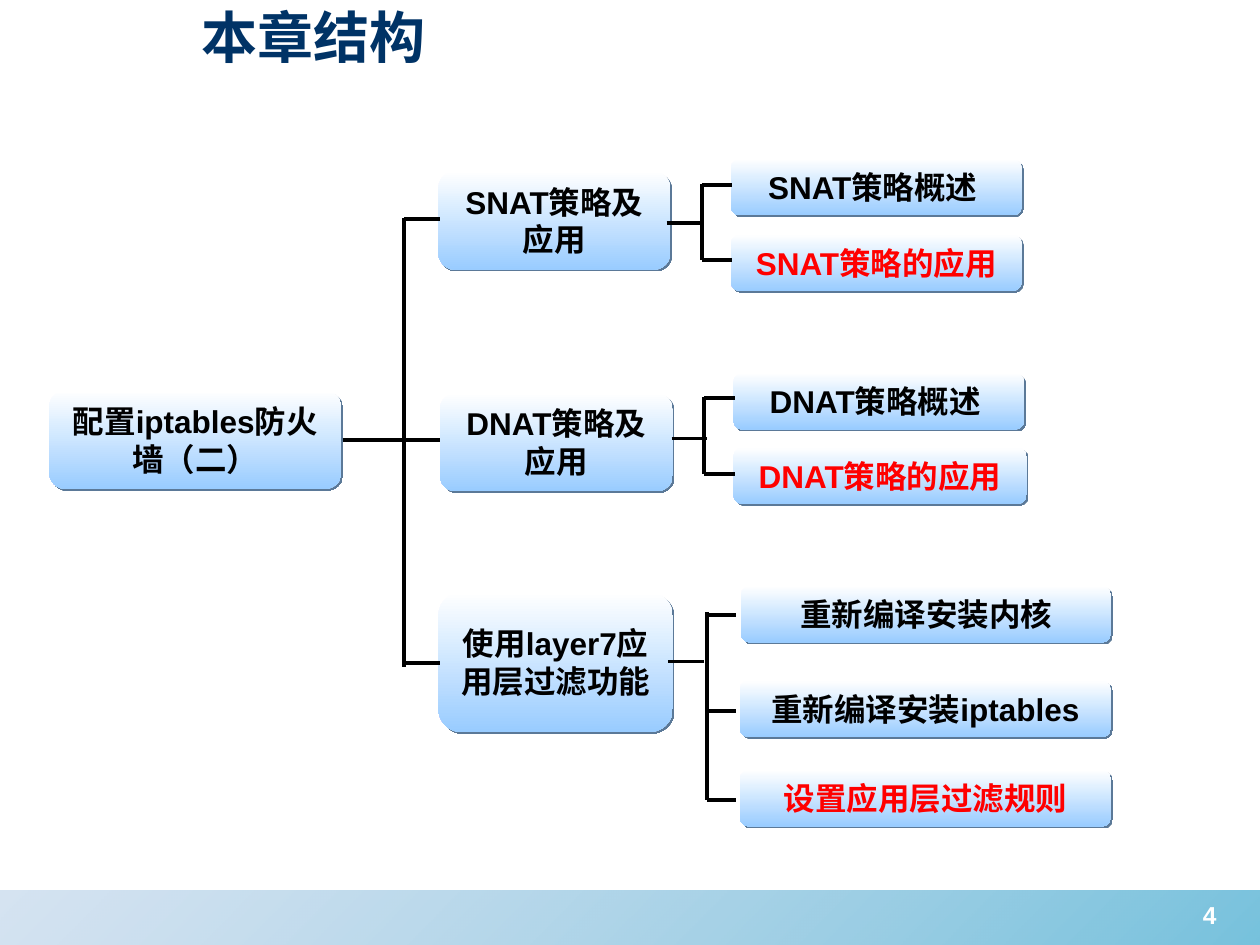
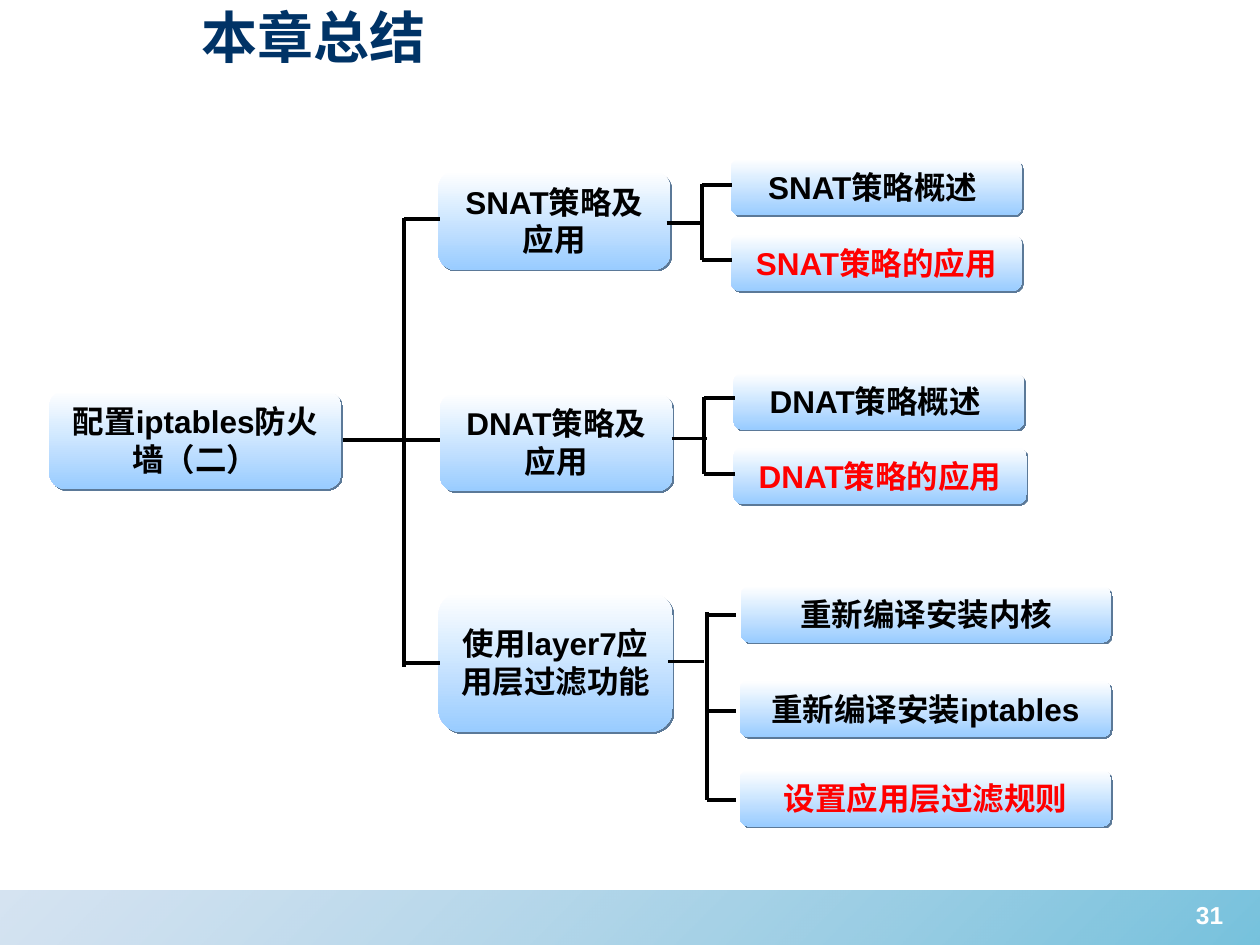
from dataclasses import dataclass

from lxml import etree
from pptx import Presentation
from pptx import util as u
from pptx.dml.color import RGBColor
from pptx.enum import lang, shapes, text
from pptx.oxml import ns


@dataclass(frozen=True)
class Theme:
    font: str = "Arial"
    title: str = "003366"
    ink: str = "000000"
    accent: str = "FF0000"
    number: str = "FFFFFF"
    box: tuple = ("FFFFFF", "99CCFF")
    shadow: str = "5B7998"
    band: tuple = ("1C99C6", "88B0D8")
    band_alpha: tuple = (60, 35)
    title_size: int = 32
    box_size: int = 18
    number_size: int = 14
    line_width: float = 2.25


@dataclass(frozen=True)
class Bracket:
    """A stem from the parent, an upright trunk and one twig per child."""
    stem: tuple    # from x, to x, y
    trunk: tuple   # x, top, bottom
    twig_end: float
    twigs: tuple   # y of each twig


# Boxes: left, top, width, height, label
TOPICS = [
    (0.39, 3.1, 2.32, 0.78, "配置iptables防火墙（二）"),
    (3.48, 1.36, 1.84, 0.78, "SNAT策略及应用"),
    (3.49, 3.12, 1.85, 0.78, "DNAT策略及应用"),
    (3.48, 4.7, 1.86, 1.11, "使用layer7应用层过滤功能"),
    (5.8, 1.26, 2.31, 0.45, "SNAT策略概述 "),
    (5.82, 2.96, 2.31, 0.45, "DNAT策略概述 "),
    (5.88, 4.65, 2.94, 0.45, "重新编译安装内核"),
    (5.87, 5.4, 2.95, 0.45, "重新编译安装iptables"),
]
KEY_TOPICS = [
    (5.8, 1.86, 2.31, 0.45, "SNAT策略的应用"),
    (5.82, 3.55, 2.33, 0.45, "DNAT策略的应用"),
    (5.87, 6.11, 2.95, 0.45, "设置应用层过滤规则"),
]
BRACKETS = [
    Bracket((2.72, 3.19, 3.49), (3.21, 1.73, 5.29), 3.49, (1.74, 3.49, 5.26)),
    Bracket((5.29, 5.57, 1.77), (5.57, 1.46, 2.06), 5.81, (1.47, 2.06)),
    Bracket((5.33, 5.61, 3.48), (5.59, 3.15, 3.76), 5.83, (3.16, 3.76)),
    Bracket((5.3, 5.59, 5.25), (5.61, 4.86, 6.35), 5.84, (4.88, 5.64, 6.35)),
]


class Deck:
    def __init__(self, theme):
        self.theme = theme
        self.prs = Presentation()
        self.prs.slide_width, self.prs.slide_height = u.Inches(10), u.Inches(7.5)
        self.s = None

    def add_slide(self, title, number):
        self.s = self.prs.slides.add_slide(self.prs.slide_layouts[5])
        self.band()
        self.title(title)
        self.page_number(number)

    def set_text(self, sp, words, size, color, align):
        tf = sp.text_frame
        tf.word_wrap = True
        tf.text = words
        p = tf.paragraphs[0]
        p.alignment = align
        font = p.runs[0].font
        font.name, font.size, font.bold = self.theme.font, u.Pt(size), True
        font.color.rgb = RGBColor.from_string(color)
        font.language_id = lang.MSO_LANGUAGE_ID.SIMPLIFIED_CHINESE
        return tf

    def gradient_shape(self, preset, at, colors, clockwise):
        sp = self.s.shapes.add_shape(preset, *map(u.Inches, at))
        sp.shadow.inherit = False
        sp.line.fill.background()
        sp.fill.gradient()
        sp.fill.gradient_angle = 360 - clockwise
        for stop, color in zip(sp.fill.gradient_stops, colors):
            stop.color.rgb = RGBColor.from_string(color)
        return sp

    def band(self):
        sp = self.gradient_shape(shapes.MSO_SHAPE.RECTANGLE, (0, 7.07, 10, 0.43),
                                 self.theme.band, 225)
        stops = sp.element.spPr.iter(ns.qn("a:srgbClr"))
        for clr, alpha in zip(list(stops), self.theme.band_alpha):
            etree.SubElement(clr, ns.qn("a:alpha"), val=str(alpha * 1000))

    def title(self, words):
        sp = self.s.shapes.title
        sp.left, sp.top, sp.width, sp.height = map(u.Inches, (1.5, -0.03, 8.07, 0.64))
        tf = self.set_text(sp, words, self.theme.title_size, self.theme.title,
                           text.PP_ALIGN.LEFT)
        tf.vertical_anchor = text.MSO_ANCHOR.MIDDLE

    def page_number(self, number):
        sp = self.s.shapes.add_textbox(*map(u.Inches, (9.24, 7.09, 0.72, 0.52)))
        self.set_text(sp, str(number), self.theme.number_size, self.theme.number,
                      text.PP_ALIGN.CENTER)

    def box(self, at, label, color):
        sp = self.gradient_shape(shapes.MSO_SHAPE.ROUNDED_RECTANGLE, at,
                                 self.theme.box, 90)
        # Hard shadow towards the lower right
        effects = sp.element.spPr.find(ns.qn("a:effectLst"))
        shadow = etree.SubElement(effects, ns.qn("a:outerShdw"), blurRad="0",
                                  dist=str(u.Pt(1.4)), dir="2700000",
                                  algn="ctr", rotWithShape="0")
        etree.SubElement(shadow, ns.qn("a:srgbClr"), val=self.theme.shadow)
        tf = self.set_text(sp, label, self.theme.box_size, color,
                           text.PP_ALIGN.CENTER)
        tf.vertical_anchor = text.MSO_ANCHOR.MIDDLE
        tf.auto_size = text.MSO_AUTO_SIZE.SHAPE_TO_FIT_TEXT

    def line(self, x1, y1, x2, y2):
        c = self.s.shapes.add_connector(shapes.MSO_CONNECTOR.STRAIGHT,
                                        *map(u.Inches, (x1, y1, x2, y2)))
        c.line.color.rgb = RGBColor.from_string(self.theme.ink)
        c.line.width = u.Pt(self.theme.line_width)
        etree.SubElement(c.element.spPr, ns.qn("a:effectLst"))

    def bracket(self, b):
        x1, x2, y = b.stem
        self.line(x1, y, x2, y)
        x, top, bottom = b.trunk
        self.line(x, top, x, bottom)
        for y in b.twigs:
            self.line(x, y, b.twig_end, y)

    def chapter_tree(self):
        for topics, color in ((TOPICS, self.theme.ink),
                              (KEY_TOPICS, self.theme.accent)):
            for *at, label in topics:
                self.box(at, label, color)
        for b in BRACKETS:
            self.bracket(b)


def main():
    deck = Deck(Theme())
    for title, number in (("本章结构", 4), ("本章总结", 31)):
        deck.add_slide(title, number)
        deck.chapter_tree()
    deck.prs.save("out.pptx")


if __name__ == "__main__":
    main()
